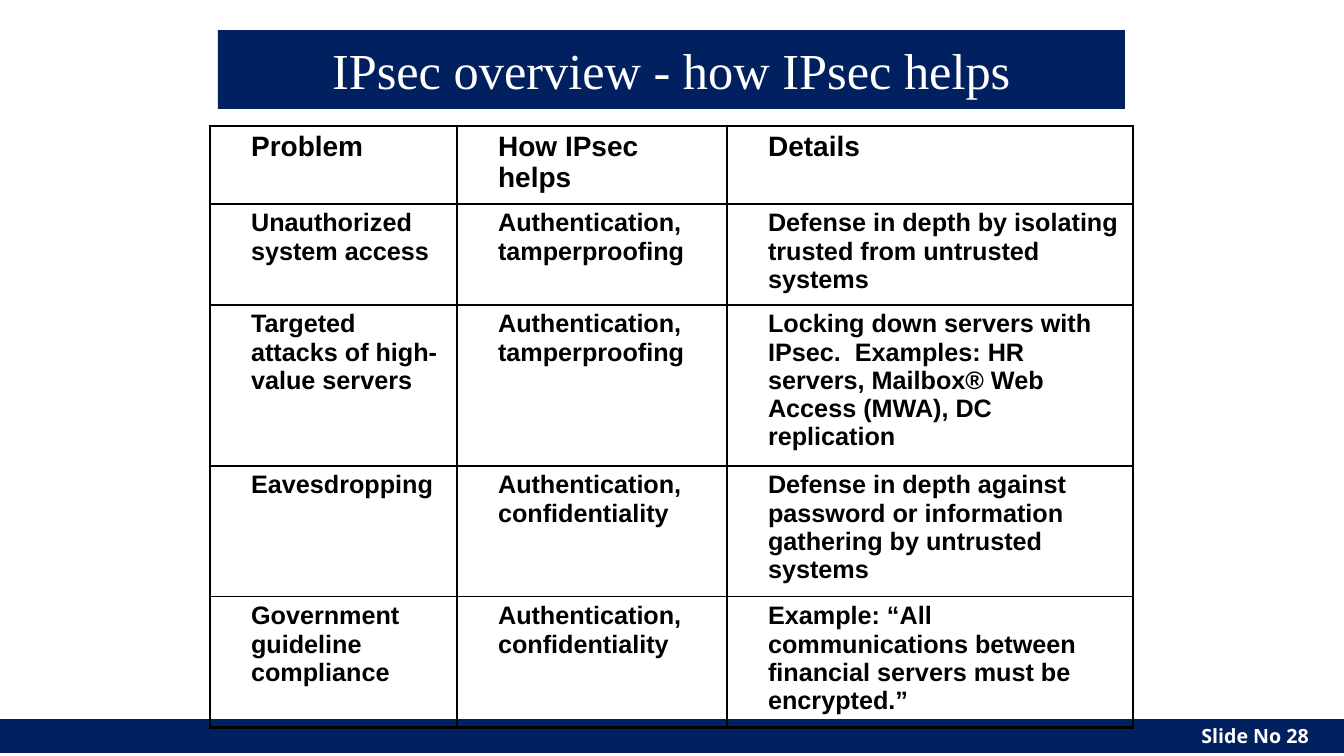
from lxml import etree
from pptx import Presentation
from pptx import util as u
from pptx.dml import color
from pptx.enum import shapes, text
from pptx.oxml import ns

NAVY, WHITE, BLACK = "002060", "FFFFFF", "000000"
THIN, THICK = 1, 2.25
COLUMNS = [247, 270, 406]
ROWS = [78, 101, 161, 131, 131]
CELLS = [
    ["Problem", "How IPsec helps", "Details"],
    ["Unauthorized system access", "Authentication, tamperproofing",
     "Defense in depth by isolating trusted from untrusted systems"],
    ["Targeted attacks of high-value servers", "Authentication, tamperproofing",
     "Locking down servers with IPsec.  Examples: HR servers, "
     "Mailbox® Web Access (MWA), DC replication"],
    ["Eavesdropping", "Authentication, confidentiality",
     "Defense in depth against password or information gathering by untrusted systems"],
    ["Government guideline compliance", "Authentication, confidentiality",
     "Example: “All communications between financial servers must be encrypted.”"],
]


def px(pixels):
    """Turn picture pixels into EMU."""
    return u.Emu(round(pixels * 914400 / 100.8))


def rgb(value):
    """Turn a hex string into a colour."""
    return color.RGBColor.from_string(value)


def apply(target, values):
    """Set attributes of an object from a dict."""
    for name, value in values.items():
        setattr(target, name, value)


def write(frame, words, hue, font, paragraph):
    """Put one formatted paragraph into a text frame."""
    frame.word_wrap = True
    para = frame.paragraphs[0]
    apply(para, paragraph)
    span = para.add_run()
    span.text = words
    apply(span.font, font)
    span.font.color.rgb = rgb(hue)


def add_bar(page, bounds, words, font, align, right_inset):
    """Add a navy bar with white text."""
    bar = page.shapes.add_shape(shapes.MSO_SHAPE.RECTANGLE, *map(px, bounds))
    bar.shadow.inherit = False
    bar.fill.solid()
    bar.fill.fore_color.rgb = rgb(NAVY)
    bar.line.fill.background()
    apply(bar.text_frame, {"vertical_anchor": text.MSO_ANCHOR.MIDDLE,
                           "margin_right": px(right_inset)})
    write(bar.text_frame, words, WHITE, font, {"alignment": align})


def add_borders(cell, widths):
    """Draw the four black borders of a cell."""
    properties = cell._tc.get_or_add_tcPr()
    for side, width in widths.items():
        line = etree.SubElement(properties, ns.qn(f"a:ln{side}"), w=str(u.Pt(width)))
        fill = etree.SubElement(line, ns.qn("a:solidFill"))
        etree.SubElement(fill, ns.qn("a:srgbClr"), val=BLACK)


def add_grid(page, left, top):
    """Add the problem table with a thick outer frame."""
    bounds = map(px, (left, top, sum(COLUMNS), sum(ROWS)))
    grid = page.shapes.add_table(len(ROWS), len(COLUMNS), *bounds).table
    apply(grid, {"first_row": False, "horz_banding": False})
    for column, width in zip(grid.columns, COLUMNS):
        column.width = px(width)
    for i, (row, height) in enumerate(zip(grid.rows, ROWS)):
        row.height = px(height)
        for j, words in enumerate(CELLS[i]):
            cell = grid.cell(i, j)
            outer = {"L": j == 0, "R": j == len(COLUMNS) - 1,
                     "T": i == 0, "B": i == len(ROWS) - 1}
            add_borders(cell, {side: THICK if edge else THIN
                               for side, edge in outer.items()})
            cell.fill.background()
            font = {"name": "Arial", "size": u.Pt(18 if i else 20), "bold": True}
            write(cell.text_frame, words, BLACK, font, {})
            indent = cell.text_frame.paragraphs[0]._p.get_or_add_pPr()
            indent.set("marL", str(px(31)))
            indent.set("indent", "0")


def main():
    """Build the slide and save it."""
    deck = Presentation()
    apply(deck, {"slide_width": px(1344), "slide_height": px(756)})
    page = deck.slides.add_slide(deck.slide_layouts[6])
    add_bar(page, (0, 719, 1344, 34), "Slide No 28",
            {"name": "Open Sans", "size": u.Pt(14), "bold": True},
            text.PP_ALIGN.RIGHT, 35)
    add_bar(page, (218, 30, 907, 79), "IPsec overview - how IPsec helps",
            {"name": "Times New Roman", "size": u.Pt(36)},
            text.PP_ALIGN.CENTER, 10)
    add_grid(page, 210, 126)
    deck.save("out.pptx")


main()
